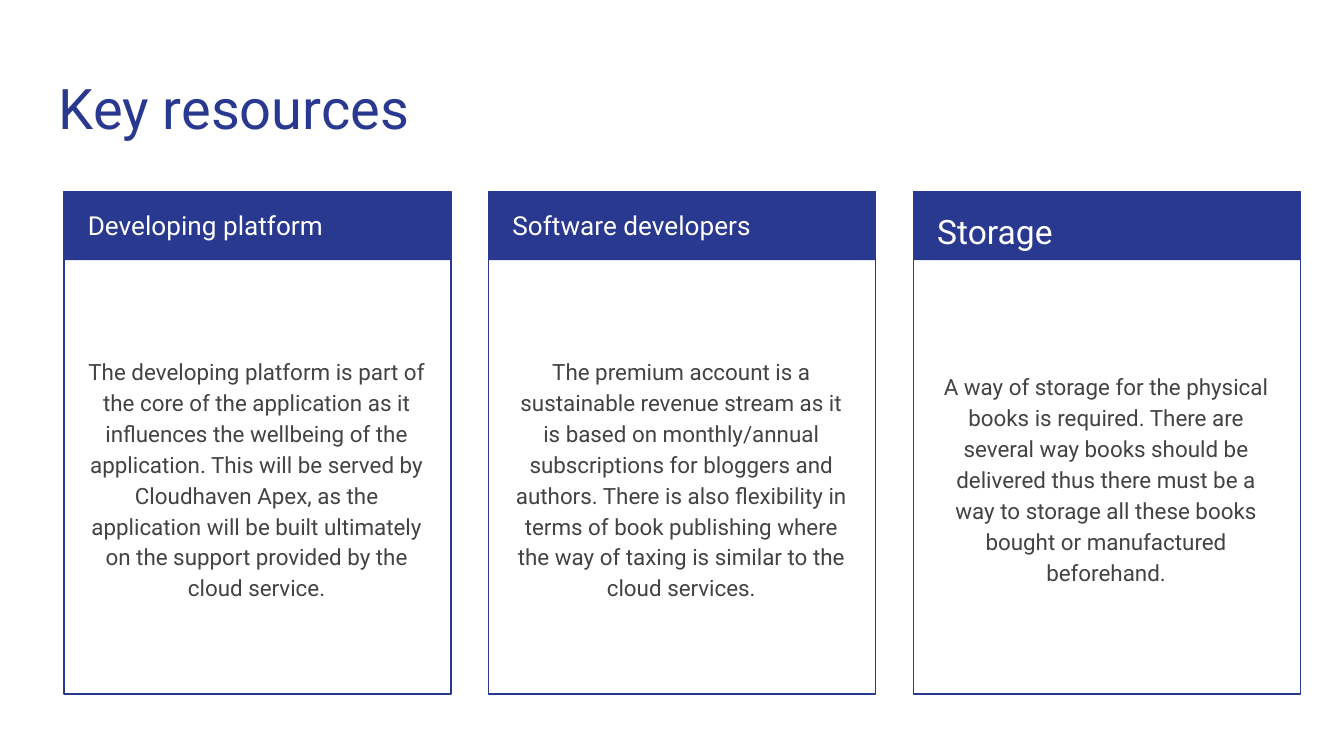
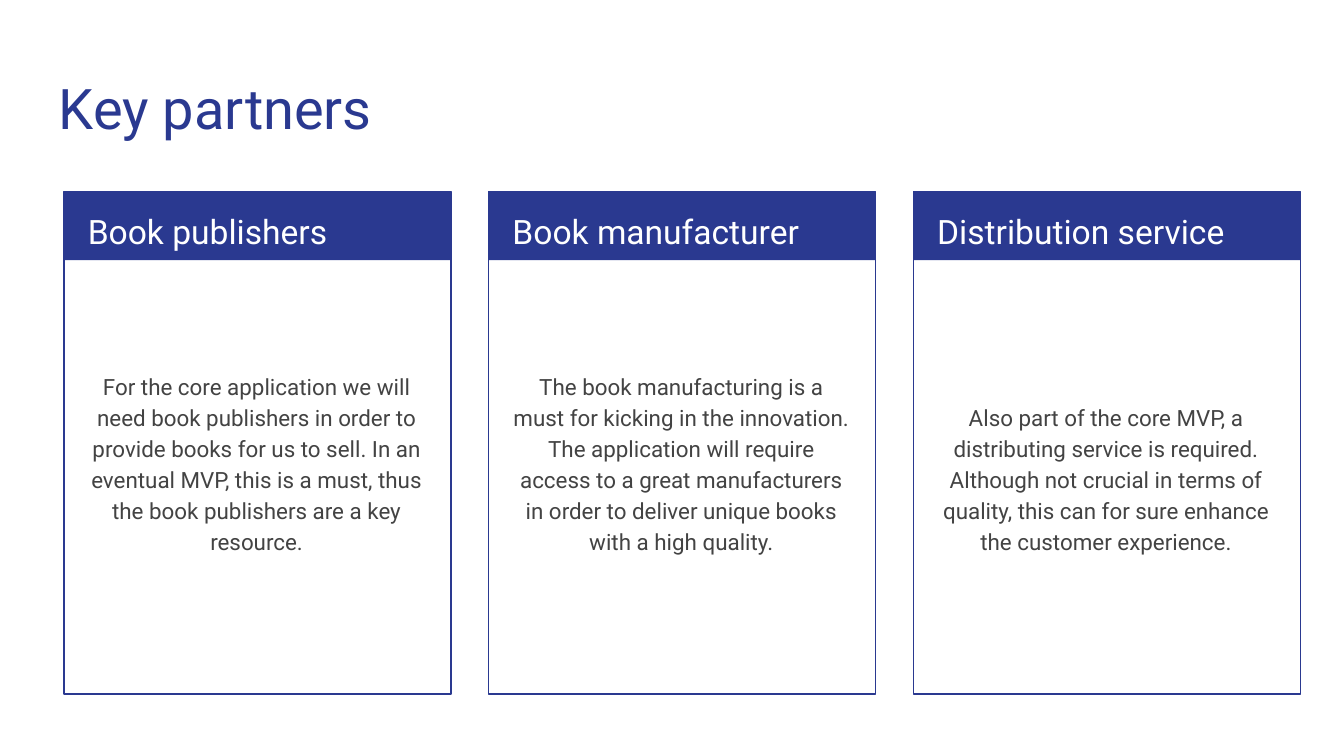
from pptx import Presentation
from pptx.dml.color import RGBColor
from pptx.enum.shapes import MSO_SHAPE
from pptx.enum.text import MSO_ANCHOR, PP_ALIGN
from pptx.util import Pt

PX = 4572  # 200 px to the inch
FONT = "Roboto"
NAVY = RGBColor(0x2A, 0x39, 0x90)
GREY = RGBColor(0x43, 0x43, 0x43)
WHITE = RGBColor(0xFF, 0xFF, 0xFF)

INSET = 20
RAISED = 66  # bottom inset that lifts centred text by half a line
CARD_LEFT, CARD_TOP, CARD_W, CARD_H = 95, 285, 576, 748
CARD_PITCH = 632
BAND_H = 102
TEXT_INDENT = 16

# Each card: heading, heading size, body, bottom inset of the body
RESOURCES = [
    ("Developing platform", 14,
     "The developing platform is part of the core of the application as it "
     "influences the wellbeing of the application. This will be served by "
     "Cloudhaven Apex, as the application will be built ultimately on the "
     "support provided by the cloud service.", INSET),
    ("Software developers", 14,
     "The premium account is a sustainable revenue stream as it is based on "
     "monthly/annual subscriptions for bloggers and authors. There is also "
     "flexibility in terms of book publishing where the way of taxing is "
     "similar to the cloud services.", INSET),
    ("Storage", 18,
     "A way of storage for the physical books is required. There are several "
     "way books should be delivered thus there must be a way to storage all "
     "these books bought or manufactured beforehand.", INSET),
]
PARTNERS = [
    ("Book publishers", 18,
     "For the core application we will need book publishers in order to "
     "provide books for us to sell. In an eventual MVP, this is a must, thus "
     "the book publishers are a key resource.", RAISED),
    ("Book manufacturer", 18,
     "The book manufacturing is a must for kicking in the innovation. The "
     "application will require access to a great manufacturers in order to "
     "deliver unique books with a high quality.", RAISED),
    ("Distribution service", 18,
     "Also part of the core MVP, a distributing service is required. Although "
     "not crucial in terms of quality, this can for sure enhance the customer "
     "experience.", INSET),
]


def px(*lengths):
    return [n * PX for n in lengths]


def add_text(s, box, text, size, color, align=PP_ALIGN.LEFT,
             anchor=MSO_ANCHOR.TOP, spacing=1.0, bottom=INSET):
    tf = s.shapes.add_textbox(*px(*box)).text_frame
    tf.word_wrap = True
    tf.vertical_anchor = anchor
    tf.margin_left, tf.margin_top, tf.margin_right, tf.margin_bottom = px(
        INSET, INSET, INSET, bottom)
    p = tf.paragraphs[0]
    p.alignment = align
    p.line_spacing = spacing
    r = p.add_run()
    r.text = text
    r.font.name = FONT
    r.font.size = Pt(size)
    r.font.color.rgb = color


def add_rect(shapes, box, fill=None, line=None):
    sp = shapes.add_shape(MSO_SHAPE.RECTANGLE, *px(*box))
    sp.shadow.inherit = False
    if fill is None:
        sp.fill.background()
    else:
        sp.fill.solid()
        sp.fill.fore_color.rgb = fill
    if line is None:
        sp.line.fill.background()
    else:
        sp.line.color.rgb = line
        sp.line.width = Pt(0.75)


def add_card(s, left, heading, heading_size, body, bottom):
    group = s.shapes.add_group_shape()
    add_rect(group.shapes, (left, CARD_TOP, CARD_W, BAND_H), fill=NAVY)
    add_rect(group.shapes, (left, CARD_TOP, CARD_W, CARD_H), line=NAVY)
    text_left = left + TEXT_INDENT
    add_text(s, (text_left, CARD_TOP, 546, 100), heading, heading_size, WHITE,
             spacing=1.15)
    add_text(s, (text_left, 405, 542, 612), body, 12, GREY, PP_ALIGN.CENTER,
             MSO_ANCHOR.MIDDLE, 1.15, bottom)


def add_card_slide(prs, title, cards):
    s = prs.slides.add_slide(prs.slide_layouts[6])
    add_text(s, (68, 90, 1864, 132), title, 30, NAVY)
    for i, card in enumerate(cards):
        add_card(s, CARD_LEFT + i * CARD_PITCH, *card)


def main():
    prs = Presentation()
    prs.slide_width, prs.slide_height = px(2000, 1125)
    add_card_slide(prs, "Key resources", RESOURCES)
    add_card_slide(prs, "Key partners", PARTNERS)
    prs.save("out.pptx")


if __name__ == "__main__":
    main()
